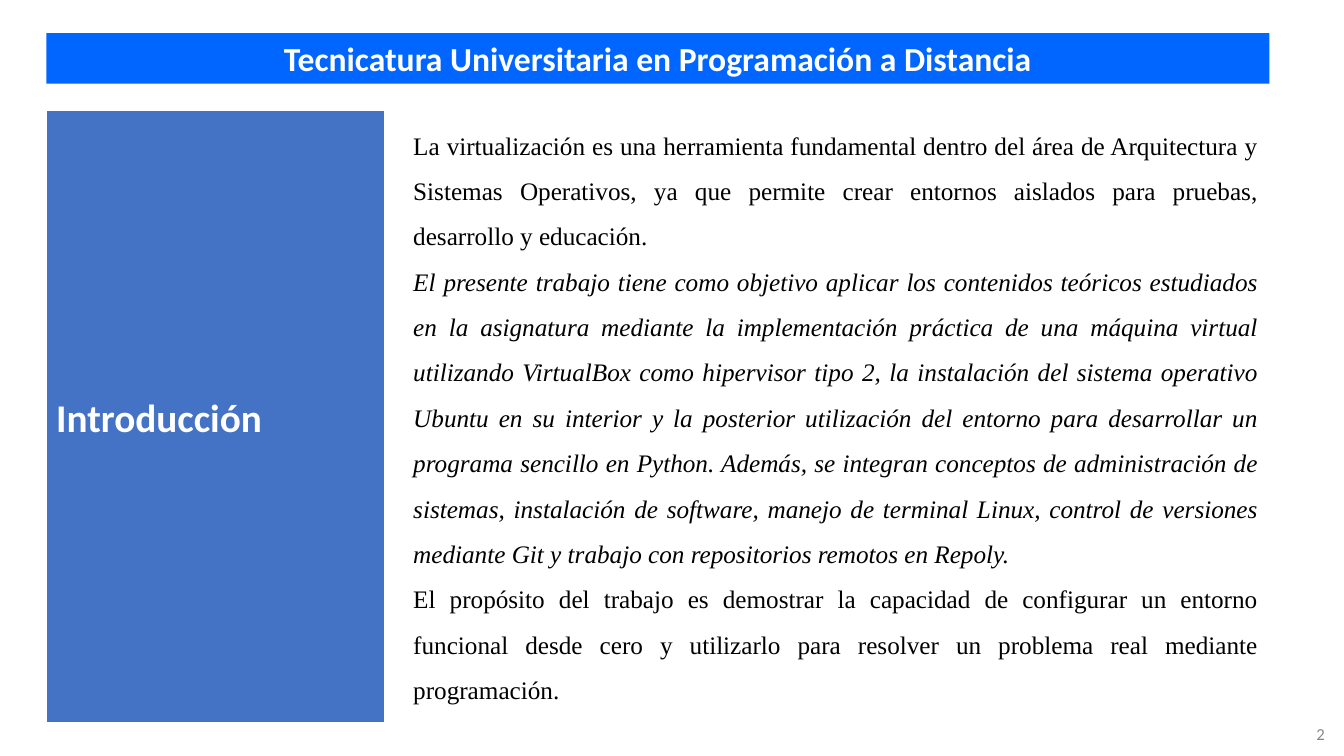
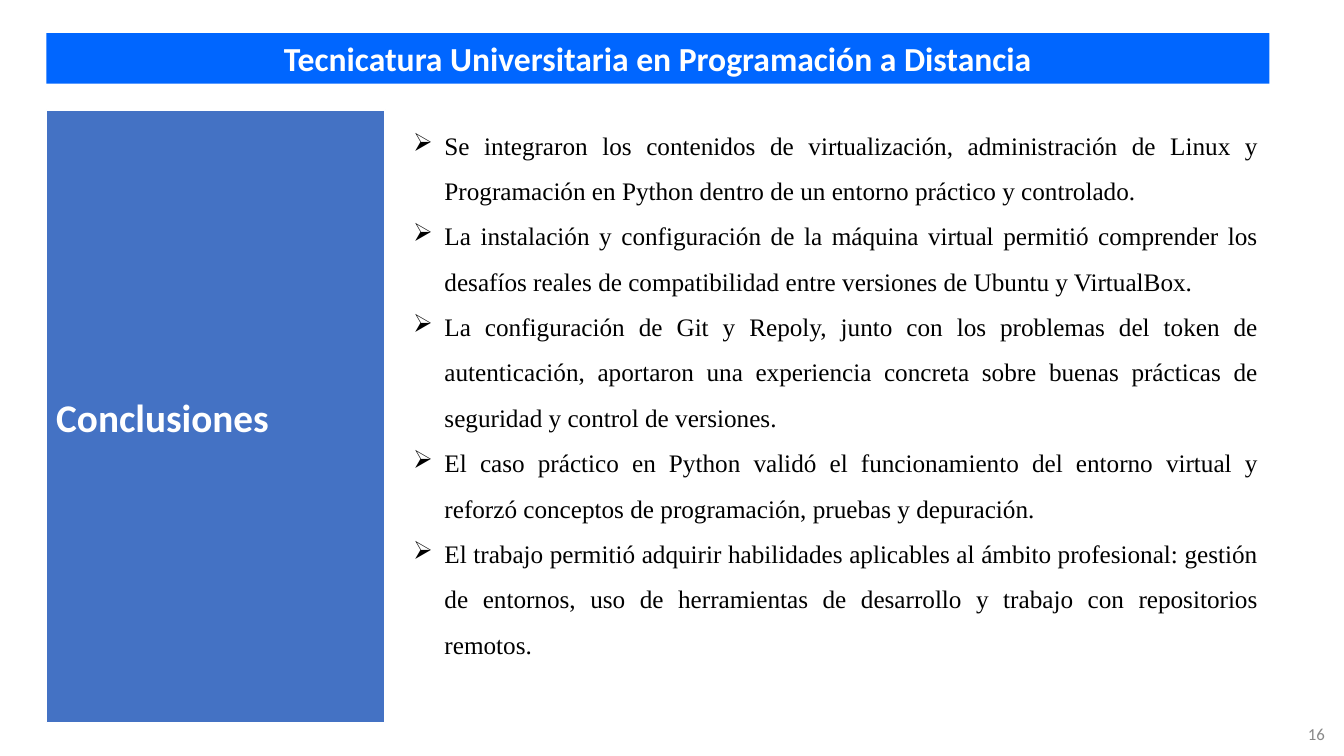
"""Builds the introduction and conclusions slides of a course presentation."""
import dataclasses

import lxml.etree
import pptx
import pptx.dml.color
import pptx.enum.shapes
import pptx.enum.text
import pptx.oxml.ns
import pptx.util

PX = 9144
ALIGN = pptx.enum.text.PP_ALIGN
ANCHOR = pptx.enum.text.MSO_ANCHOR
GROW = pptx.enum.text.MSO_AUTO_SIZE.SHAPE_TO_FIT_TEXT


@dataclasses.dataclass(frozen=True)
class Theme:
    banner: str = "0066FF"
    panel: str = "4472C4"
    white: str = "FFFFFF"
    black: str = "000000"
    gray: str = "888888"
    heading_font: str = "Calibri"
    body_font: str = "Times New Roman"
    banner_size: int = 24
    panel_size: int = 28
    body_size: int = 18
    number_size: int = 12


theme = Theme()
BANNER_TEXT = "Tecnicatura Universitaria en Programación a Distancia"
BULLET = "➢"
BULLET_INDENT = 31

slides = [
    {
        "number": "2",
        "title": "Introducción",
        "height": 595,
        "bullets": False,
        "italic": {1},
        "paragraphs": [
            "La virtualización es una herramienta fundamental dentro del área de Arquitectura y "
            "Sistemas Operativos, ya que permite crear entornos aislados para pruebas, "
            "desarrollo y educación.",
            "El presente trabajo tiene como objetivo aplicar los contenidos teóricos estudiados "
            "en la asignatura mediante la implementación práctica de una máquina virtual "
            "utilizando VirtualBox como hipervisor tipo 2, la instalación del sistema operativo "
            "Ubuntu en su interior y la posterior utilización del entorno para desarrollar un "
            "programa sencillo en Python. Además, se integran conceptos de administración de "
            "sistemas, instalación de software, manejo de terminal Linux, control de versiones "
            "mediante Git y trabajo con repositorios remotos en Repoly.",
            "El propósito del trabajo es demostrar la capacidad de configurar un entorno "
            "funcional desde cero y utilizarlo para resolver un problema real mediante "
            "programación.",
        ],
    },
    {
        "number": "16",
        "title": "Conclusiones",
        "height": 550,
        "bullets": True,
        "italic": set(),
        "paragraphs": [
            "Se integraron los contenidos de virtualización, administración de Linux y "
            "Programación en Python dentro de un entorno práctico y controlado.",
            "La instalación y configuración de la máquina virtual permitió comprender los "
            "desafíos reales de compatibilidad entre versiones de Ubuntu y VirtualBox.",
            "La configuración de Git y Repoly, junto con los problemas del token de "
            "autenticación, aportaron una experiencia concreta sobre buenas prácticas de "
            "seguridad y control de versiones.",
            "El caso práctico en Python validó el funcionamiento del entorno virtual y "
            "reforzó conceptos de programación, pruebas y depuración.",
            "El trabajo permitió adquirir habilidades aplicables al ámbito profesional: gestión "
            "de entornos, uso de herramientas de desarrollo y trabajo con repositorios "
            "remotos.",
        ],
    },
]


def add_box(slide, box, texts, font, size, color, align, anchor=ANCHOR.TOP,
            bold=False, fill=None, line=None):
    """Add a text box, or a rectangle when a fill is given."""
    bounds = [value * PX for value in box]
    if fill:
        shape = slide.shapes.add_shape(pptx.enum.shapes.MSO_SHAPE.RECTANGLE, *bounds)
        shape.shadow.inherit = False
        shape.fill.solid()
        shape.fill.fore_color.rgb = pptx.dml.color.RGBColor.from_string(fill)
        if line:
            shape.line.color.rgb = pptx.dml.color.RGBColor.from_string(line)
            shape.line.width = pptx.util.Pt(1)
        else:
            shape.line.fill.background()
    else:
        shape = slide.shapes.add_textbox(*bounds)
    frame = shape.text_frame
    frame.word_wrap = True
    frame.vertical_anchor = anchor
    frame.text = "\n".join(texts)
    for paragraph in frame.paragraphs:
        paragraph.alignment = align
        paragraph.font.name = font
        paragraph.font.size = pptx.util.Pt(size)
        paragraph.font.bold = bold
        paragraph.font.color.rgb = pptx.dml.color.RGBColor.from_string(color)
    return shape


def add_bullet(paragraph):
    """Give a paragraph a hanging arrow bullet."""
    properties = paragraph._p.get_or_add_pPr()
    properties.set("marL", str(BULLET_INDENT * PX))
    properties.set("indent", str(-BULLET_INDENT * PX))
    qn = pptx.oxml.ns.qn
    bullet_color = lxml.etree.Element(qn("a:buClr"))
    lxml.etree.SubElement(bullet_color, qn("a:srgbClr")).set("val", theme.black)
    bullet_character = lxml.etree.Element(qn("a:buChar"))
    bullet_character.set("char", BULLET)
    run_defaults = properties.find(qn("a:defRPr"))
    run_defaults.addprevious(bullet_color)
    run_defaults.addprevious(bullet_character)


presentation = pptx.Presentation()
presentation.slide_width = 1333 * PX
presentation.slide_height = 750 * PX

for content in slides:
    slide = presentation.slides.add_slide(presentation.slide_layouts[6])
    banner = add_box(slide, (46, 33, 1213, 50), [BANNER_TEXT], theme.heading_font,
                     theme.banner_size, theme.white, ALIGN.CENTER, bold=True,
                     fill=theme.banner)
    banner.text_frame.auto_size = GROW
    add_box(slide, (1274, 710, 50, 37), [content["number"]], theme.heading_font,
            theme.number_size, theme.gray, ALIGN.RIGHT, ANCHOR.MIDDLE)
    add_box(slide, (46, 109, 336, 608), [content["title"]], theme.heading_font,
            theme.panel_size, theme.white, ALIGN.LEFT, ANCHOR.MIDDLE, bold=True,
            fill=theme.panel, line=theme.white)
    body = add_box(slide, (400, 109, 858, content["height"]), content["paragraphs"],
                   theme.body_font, theme.body_size, theme.black, ALIGN.JUSTIFY)
    body.text_frame.auto_size = GROW
    for index, paragraph in enumerate(body.text_frame.paragraphs):
        paragraph.line_spacing = 1.5
        paragraph.font.italic = index in content["italic"]
        if content["bullets"]:
            add_bullet(paragraph)

presentation.save("out.pptx")
